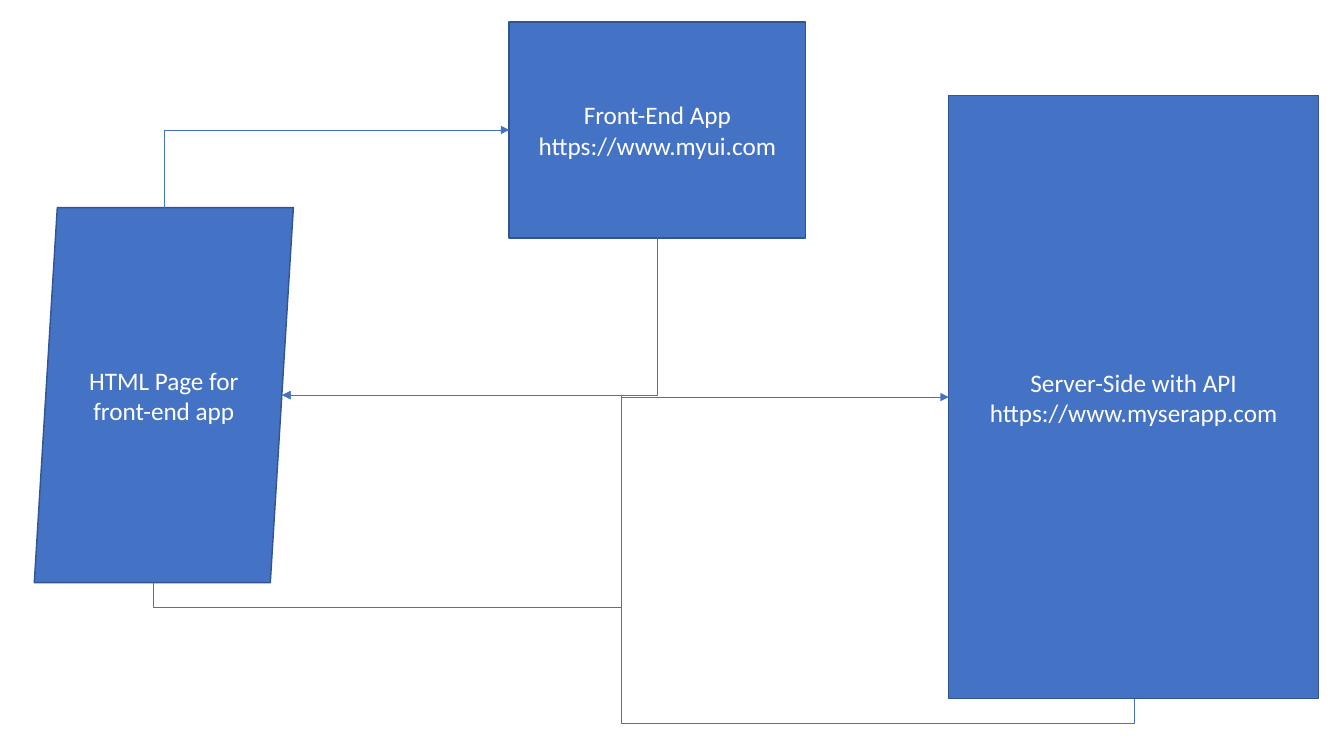
from lxml import etree
from pptx import Presentation
from pptx.dml.color import RGBColor
from pptx.enum.shapes import MSO_CONNECTOR, MSO_SHAPE
from pptx.enum.text import MSO_ANCHOR, PP_ALIGN
from pptx.oxml.ns import qn
from pptx.util import Inches, Pt

BLUE = RGBColor(0x44, 0x72, 0xC4)
DARK_BLUE = RGBColor(0x32, 0x54, 0x91)
WHITE = RGBColor(0xFF, 0xFF, 0xFF)

RECTANGLE = MSO_SHAPE.RECTANGLE
PARALLELOGRAM = MSO_SHAPE.PARALLELOGRAM
ELBOW = MSO_CONNECTOR.ELBOW
CENTER = PP_ALIGN.CENTER
MIDDLE = MSO_ANCHOR.MIDDLE

# Connection sites
TOP, LEFT, BOTTOM = 0, 1, 2
SLANTED_RIGHT, SLANTED_BOTTOM = 2, 3  # sites of a parallelogram


def write_text(text_frame, lines, font_name="Calibri", size=18, color=WHITE):
    """Write each line as a centred paragraph."""
    text_frame.word_wrap = True
    text_frame.vertical_anchor = MIDDLE
    for index, line in enumerate(lines):
        paragraph = text_frame.paragraphs[0] if index == 0 else text_frame.add_paragraph()
        paragraph.alignment = CENTER
        run = paragraph.add_run()
        run.text = line
        run.font.name = font_name
        run.font.size = Pt(size)
        run.font.color.rgb = color


class Diagram:
    """Holds the slide and the style of its boxes and arrows."""

    def __init__(self, slide, fill=BLUE, outline=DARK_BLUE):
        self.slide = slide
        self.fill = fill
        self.outline = outline

    def box(self, kind, left, top, width, height, lines):
        shape = self.slide.shapes.add_shape(
            kind, Inches(left), Inches(top), Inches(width), Inches(height))
        shape.shadow.inherit = False
        shape.fill.solid()
        shape.fill.fore_color.rgb = self.fill
        shape.line.color.rgb = self.outline
        shape.line.width = Pt(1)
        write_text(shape.text_frame, lines)
        return shape

    def arrow(self, source, target, start, end, preset, flips="", adjustments=()):
        """Join two (shape, site) pairs by an elbow that leaves vertically."""
        (x1, y1), (x2, y2) = start, end
        connector = self.slide.shapes.add_connector(
            ELBOW, Inches(x1), Inches(y1), Inches(x2), Inches(y2))
        connector.line.color.rgb = self.fill
        connector.line.width = Pt(0.5)
        properties = connector._element.spPr

        # Glue both ends to their connection sites
        connector.begin_connect(source[0], 0)
        connector.end_connect(target[0], 0)
        for tag, site in (("a:stCxn", source[1]), ("a:endCxn", target[1])):
            connector._element.find(".//" + qn(tag)).set("idx", str(site))

        # A quarter turn swaps width and height around the centre
        width, height = abs(y2 - y1), abs(x2 - x1)
        connector.left = Inches((x1 + x2 - width) / 2)
        connector.top = Inches((y1 + y2 - height) / 2)
        connector.width, connector.height = Inches(width), Inches(height)
        transform = properties.find(qn("a:xfrm"))
        transform.set("rot", "5400000")
        for axis in "HV":
            transform.set("flip" + axis, str(int(axis in flips)))

        # Route of the elbow
        geometry = properties.find(qn("a:prstGeom"))
        geometry.set("prst", preset)
        guides = geometry.find(qn("a:avLst"))
        if guides is None:
            guides = etree.SubElement(geometry, qn("a:avLst"))
        for number, value in enumerate(adjustments, 1):
            etree.SubElement(guides, qn("a:gd"), name=f"adj{number}",
                             fmla=f"val {round(value * 100000)}")

        # Arrowhead, and no shadow
        line = properties.find(qn("a:ln"))
        etree.SubElement(line, qn("a:tailEnd"), type="triangle")
        etree.SubElement(properties, qn("a:effectLst"))
        return connector


def main():
    presentation = Presentation()
    presentation.slide_width = Inches(13.33)
    presentation.slide_height = Inches(7.5)
    slide = presentation.slides.add_slide(presentation.slide_layouts[6])
    diagram = Diagram(slide)

    # Boxes
    server = diagram.box(RECTANGLE, 9.41, 0.95, 3.67, 5.98,
                         ["Server-Side with API", "https://www.myserapp.com"])
    front_end = diagram.box(RECTANGLE, 5.05, 0.22, 2.94, 2.14,
                            ["Front-End App", "https://www.myui.com"])
    page = diagram.box(PARALLELOGRAM, 0.34, 2.06, 2.57, 3.72,
                       ["HTML Page for front-end app"])
    page.adjustments[0] = 0.089

    # Requests from the page and the answers to it
    page_right = (2.8, 3.92)
    diagram.arrow((page, TOP), (front_end, LEFT), (1.63, 2.06), (5.05, 1.29),
                  "bentConnector2", flips="HV")
    diagram.arrow((front_end, BOTTOM), (page, SLANTED_RIGHT), (6.52, 2.36), page_right,
                  "bentConnector2")
    diagram.arrow((page, SLANTED_BOTTOM), (server, LEFT), (1.52, 5.78), (9.41, 3.94),
                  "bentConnector4", flips="HV", adjustments=(-0.136, 0.589))
    diagram.arrow((server, BOTTOM), (page, SLANTED_RIGHT), (11.25, 6.93), page_right,
                  "bentConnector4", flips="H", adjustments=(-0.083, 0.602))

    presentation.save("out.pptx")


if __name__ == "__main__":
    main()
